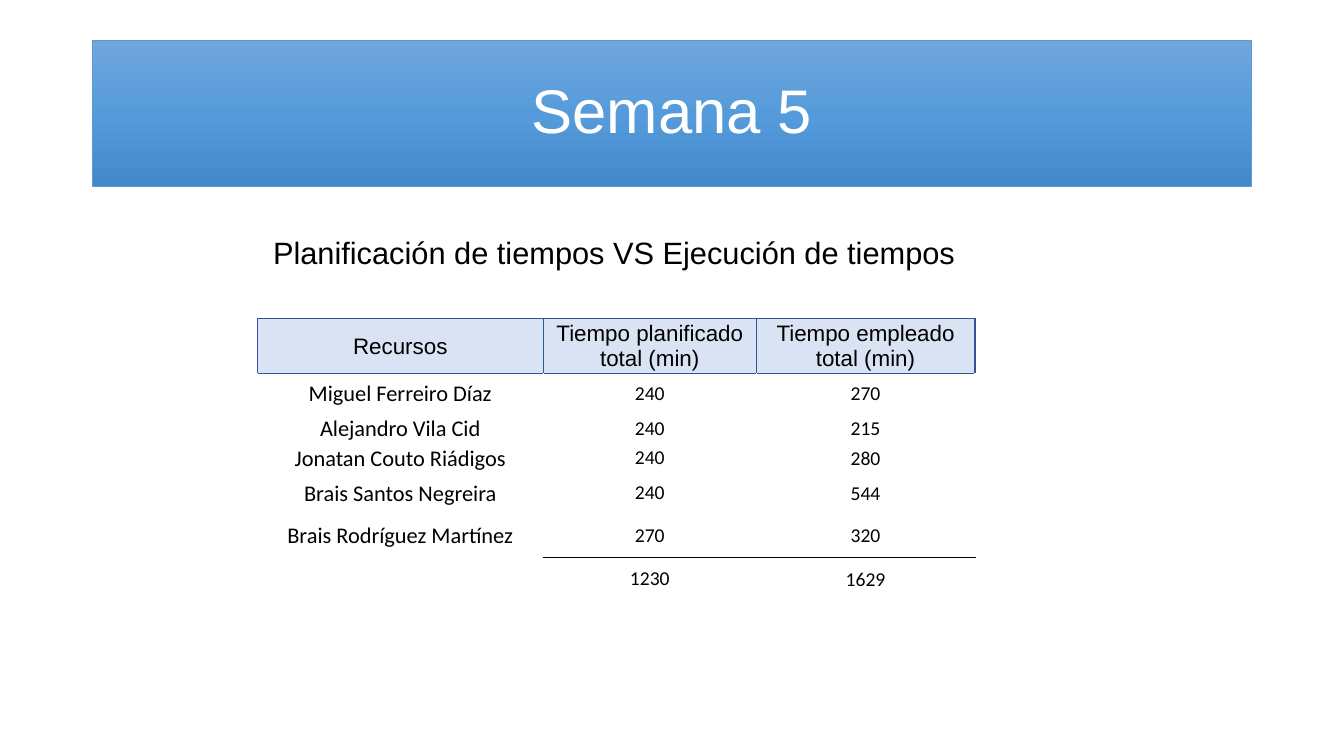
from copy import deepcopy

from lxml.etree import SubElement
from pptx import Presentation
from pptx.dml.color import RGBColor
from pptx.enum.text import MSO_ANCHOR, MSO_AUTO_SIZE, PP_ALIGN
from pptx.oxml.ns import qn
from pptx.util import Inches, Pt

WHITE = RGBColor(0xFF, 0xFF, 0xFF)
BLACK = RGBColor(0x00, 0x00, 0x00)
TITLE_LINE = RGBColor(0x5B, 0x9B, 0xD5)
TITLE_GRADIENT = (
    RGBColor(0x71, 0xA6, 0xDB),
    RGBColor(0x55, 0x9B, 0xDB),
    RGBColor(0x44, 0x8A, 0xCA),
)
HEADER_FILL = RGBColor(0xDA, 0xE3, 0xF3)
HEADER_LINE = RGBColor(0x2F, 0x55, 0x97)

SLIDE_WIDTH, SLIDE_HEIGHT = Inches(13.33), Inches(7.5)
SIDE_MARGIN = Inches(0.92)
COLUMN_WIDTHS = (2.84, 2.11, 2.17)
ROW_HEIGHTS = (0.54, 0.4, 0.3, 0.21, 0.42, 0.43, 0.43)
HEADER_MARGINS = (0.01, 0.01, 0.01, 0)
PLANNED_MARGINS = (0.03, 0, 0.03, 0)

TIMES = (
    ("Recursos", "Tiempo planificado total (min)", "Tiempo empleado total (min)"),
    ("Miguel Ferreiro Díaz", "240", "270"),
    ("Alejandro Vila Cid", "240", "215"),
    ("Jonatan Couto Riádigos", "240", "280"),
    ("Brais Santos Negreira", "240", "544"),
    ("Brais Rodríguez Martínez", "270", "320"),
    ("", "1230", "1629"),
)
TOTAL_ROW = len(TIMES) - 1


def format_paragraph(paragraph, font_name, size, color, alignment):
    paragraph.alignment = alignment
    paragraph.font.name = font_name
    paragraph.font.size = Pt(size)
    paragraph.font.color.rgb = color


def fill_gradient(shape, colors):
    """Fill from top to bottom with evenly spaced colours."""
    shape.fill.gradient()
    shape.fill.gradient_angle = 270
    stop_list = next(shape.element.iter(qn("a:gsLst")))
    while len(stop_list) < len(colors):
        stop_list.append(deepcopy(stop_list[0]))
    for index, (stop, color) in enumerate(zip(shape.fill.gradient_stops, colors)):
        stop.color.rgb = color
        stop.position = index / (len(colors) - 1)


def format_title(title, text):
    title.left, title.top = SIDE_MARGIN, Inches(0.4)
    title.width, title.height = SLIDE_WIDTH - 2 * SIDE_MARGIN, Inches(1.45)
    fill_gradient(title, TITLE_GRADIENT)
    title.line.color.rgb = TITLE_LINE
    title.line.width = Pt(0.5)
    title.text_frame.text = text
    title.text_frame.vertical_anchor = MSO_ANCHOR.MIDDLE
    paragraph = title.text_frame.paragraphs[0]
    paragraph.line_spacing = 0.9
    format_paragraph(paragraph, "Arial", 44, WHITE, PP_ALIGN.CENTER)


def add_subtitle(slide, text):
    box = slide.shapes.add_textbox(Inches(2.61), Inches(2.27), Inches(7), Inches(0.47))
    frame = box.text_frame
    frame.word_wrap = True
    frame.auto_size = MSO_AUTO_SIZE.SHAPE_TO_FIT_TEXT
    frame.text = text
    format_paragraph(frame.paragraphs[0], "Arial", 22, BLACK, PP_ALIGN.LEFT)


def set_borders(cell, sides, color, width):
    """Draw the sides, given as letters in the order L, R, T, B."""
    properties = cell._tc.get_or_add_tcPr()
    for index, side in enumerate(sides):
        line = SubElement(properties, qn(f"a:ln{side}"), w=str(Pt(width)))
        fill = SubElement(line, qn("a:solidFill"))
        SubElement(fill, qn("a:srgbClr"), val=str(color))
        properties.insert(index, line)


def format_cell(cell, row, column):
    is_header = row == 0
    is_name = column == 0 and row < TOTAL_ROW
    if is_header or is_name:
        cell.fill.solid()
        cell.fill.fore_color.rgb = HEADER_FILL if is_header else WHITE
    else:
        cell.fill.background()

    margins = PLANNED_MARGINS if column == 1 and not is_header else HEADER_MARGINS
    cell.margin_left, cell.margin_top, cell.margin_right, cell.margin_bottom = map(
        Inches, margins
    )
    cell.vertical_anchor = MSO_ANCHOR.MIDDLE
    format_paragraph(
        cell.text_frame.paragraphs[0],
        "Arial" if is_header else "Calibri",
        16 if is_header or is_name else 14,
        BLACK,
        PP_ALIGN.CENTER,
    )

    if is_header:
        set_borders(cell, "LRTB", HEADER_LINE, 1)
    elif row == 1:
        set_borders(cell, "T", HEADER_LINE, 1)
    elif column > 0 and row >= TOTAL_ROW - 1:
        set_borders(cell, "T" if row == TOTAL_ROW else "B", BLACK, 0.5)


def add_times_table(slide):
    table = slide.shapes.add_table(
        len(TIMES),
        len(COLUMN_WIDTHS),
        Inches(2.55),
        Inches(3.16),
        Inches(sum(COLUMN_WIDTHS)),
        Inches(sum(ROW_HEIGHTS)),
    ).table
    table.first_row = table.horz_banding = False
    for column, width in zip(table.columns, COLUMN_WIDTHS):
        column.width = Inches(width)
    for row, height in zip(table.rows, ROW_HEIGHTS):
        row.height = Inches(height)
    for row, texts in enumerate(TIMES):
        for column, text in enumerate(texts):
            cell = table.cell(row, column)
            cell.text = text
            format_cell(cell, row, column)


def main():
    presentation = Presentation()
    presentation.slide_width = SLIDE_WIDTH
    presentation.slide_height = SLIDE_HEIGHT
    title_only = presentation.slide_layouts.get_by_name("Title Only")
    slide = presentation.slides.add_slide(title_only)
    format_title(slide.shapes.title, "Semana 5")
    add_subtitle(slide, "Planificación de tiempos VS Ejecución de tiempos")
    add_times_table(slide)
    presentation.save("out.pptx")


if __name__ == "__main__":
    main()
